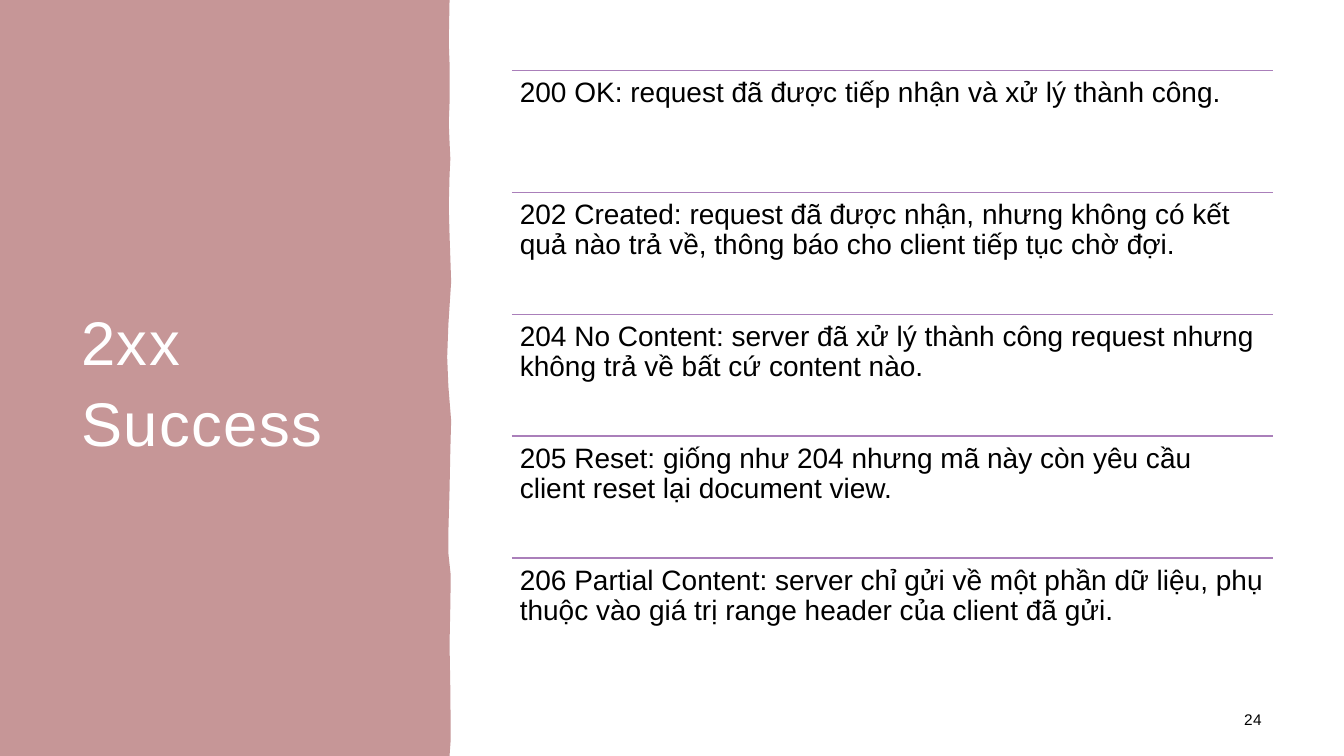
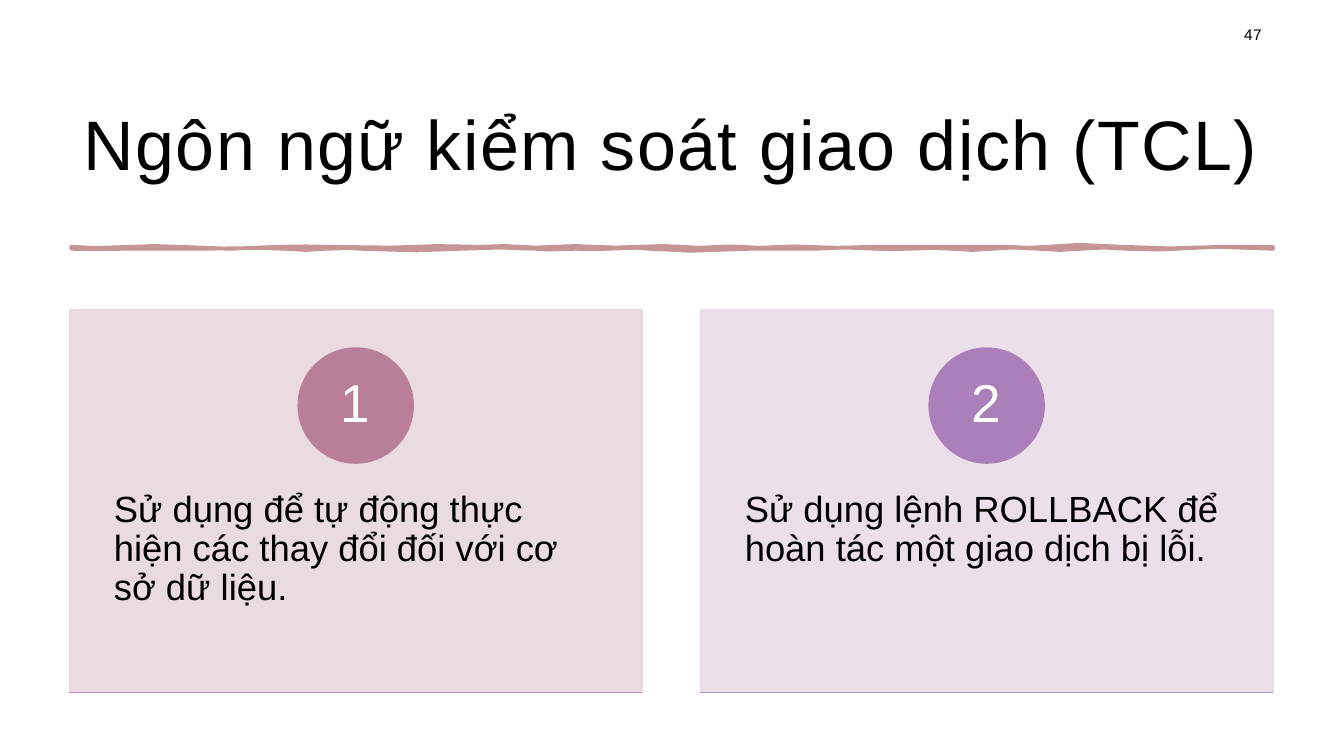
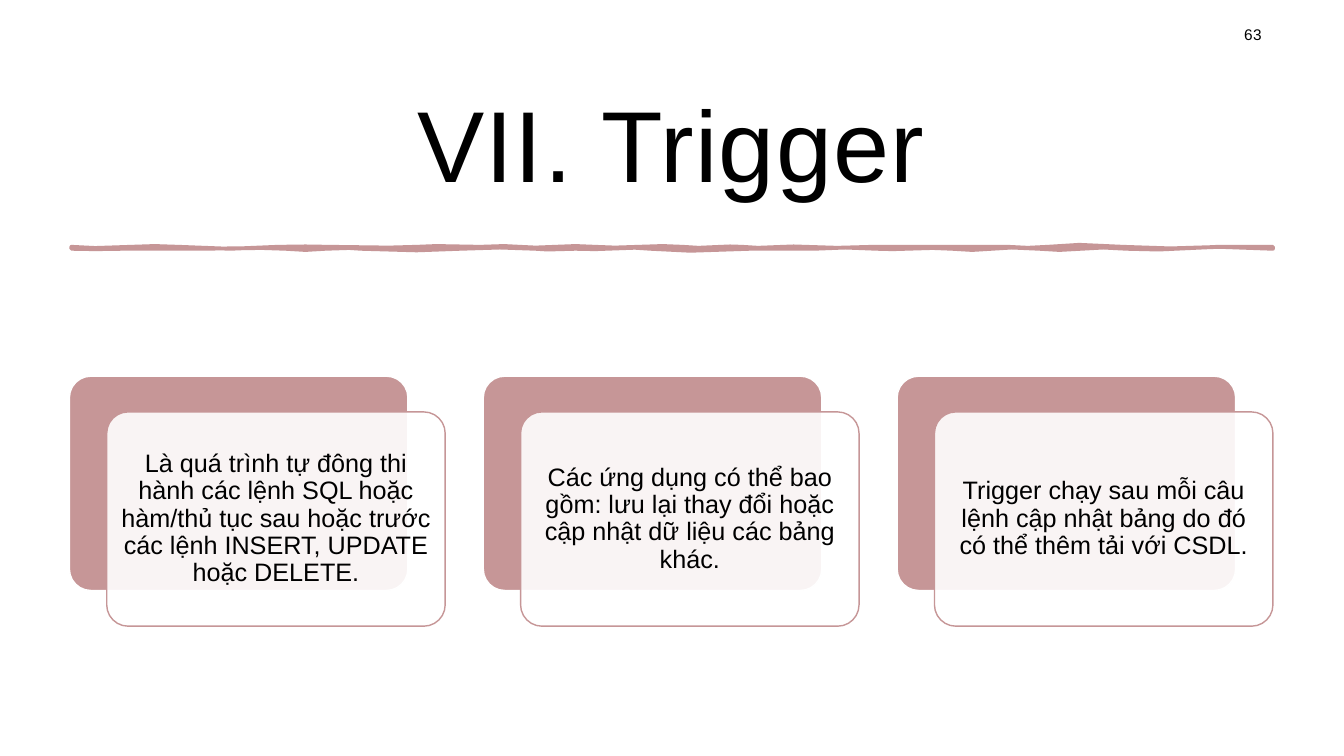
from pptx import Presentation
from pptx.dml.color import RGBColor
from pptx.enum.shapes import MSO_CONNECTOR, MSO_SHAPE
from pptx.enum.text import MSO_ANCHOR, MSO_AUTO_SIZE, PP_ALIGN
from pptx.oxml.ns import qn
from pptx.util import Cm, Pt
from lxml.etree import SubElement

FONT = "Arial"
BLACK = RGBColor(0x00, 0x00, 0x00)
WHITE = RGBColor(0xFF, 0xFF, 0xFF)
ROSE = RGBColor(0xC6, 0x96, 0x97)
MAUVE = RGBColor(0xBA, 0x7F, 0x98)
PURPLE = RGBColor(0xAA, 0x7F, 0xBA)
PINK = RGBColor(0xE7, 0xD8, 0xDD)
LILAC = RGBColor(0xEA, 0xDC, 0xE8)
ORCHID = RGBColor(0xC4, 0x93, 0xBD)
VIOLET = RGBColor(0xA6, 0x96, 0xC6)

CODES = [
    "200 OK: request đã được tiếp nhận và xử lý thành công.",
    "202 Created: request đã được nhận, nhưng không có kết quả nào trả về, "
    "thông báo cho client tiếp tục chờ đợi.",
    "204 No Content: server đã xử lý thành công request nhưng không trả về "
    "bất cứ content nào.",
    "205 Reset: giống như 204 nhưng mã này còn yêu cầu client reset lại "
    "document view.",
    "206 Partial Content: server chỉ gửi về một phần dữ liệu, phụ thuộc vào "
    "giá trị range header của client đã gửi.",
]
# text, card fill, disc fill, base line
STEPS = [
    ("Sử dụng để tự động thực hiện các thay đổi đối với cơ sở dữ liệu.",
     PINK, MAUVE, ORCHID),
    ("Sử dụng lệnh ROLLBACK để hoàn tác một giao dịch bị lỗi.",
     LILAC, PURPLE, VIOLET),
]
FACTS = [
    "Là quá trình tự đông thi hành các lệnh SQL hoặc hàm/thủ tục sau hoặc "
    "trước các lệnh INSERT, UPDATE hoặc DELETE.",
    "Các ứng dụng có thể bao gồm: lưu lại thay đổi hoặc cập nhật dữ liệu "
    "các bảng khác.",
    "Trigger chạy sau mỗi câu lệnh cập nhật bảng do đó có thể thêm tải với "
    "CSDL.",
]

# Page frame, in cm
WIDTH, HEIGHT = 33.87, 19.05
LEFT, SPAN = 1.75, 30.33

# Ragged right edge of the side band: (x, y) in cm
EDGE = [
    (11.33, 0), (11.31, 1.07), (11.33, 1.6), (11.33, 2.59), (11.31, 3.1),
    (11.33, 3.58), (11.35, 4), (11.33, 4.42), (11.31, 5.2), (11.33, 5.92),
    (11.37, 7.1), (11.3, 8.18), (11.27, 9), (11.3, 9.73), (11.37, 10.6),
    (11.35, 11.33), (11.33, 12.34), (11.3, 13.41), (11.3, 13.94),
    (11.36, 14.5), (11.35, 15.24), (11.33, 16.23), (11.35, 17.4),
    (11.36, 18.62), (11.33, HEIGHT),
]
# Brush stroke under the title: (x in cm, sway in mm)
UPPER = [
    (1.8, 0), (2.4, 0.3), (3.9, -0.2), (4.5, 0), (5.8, 0.5), (7, 0),
    (7.7, -0.1), (8.3, 0), (9.8, 0.2), (10.5, 0), (11, -0.2), (12.1, 0),
    (12.7, -0.2), (13.1, 0), (13.5, 0.2), (14.5, -0.2), (15, 0),
    (15.5, 0.2), (16.7, -0.2), (17.2, 0), (17.6, 0.25), (18.4, -0.1),
    (18.7, 0), (19.1, 0.25), (20, -0.1), (20.3, 0), (21.1, 0.25), (22, 0),
    (23.5, 0), (25.4, 0), (25.9, 0.25), (26.4, 0), (27.2, -0.5), (28.3, 0),
    (29.5, 0.4), (30.8, 0), (32.08, 0),
]
LOWER = [
    (1.8, 0), (2.4, 0.1), (3.1, 0), (5, 0), (6.6, -0.2), (7.2, 0),
    (7.7, 0.3), (8.2, 0), (8.8, -0.2), (9.1, 0), (10.5, 0.4), (11.6, 0),
    (12.6, -0.3), (13.5, 0), (13.8, 0.2), (14.5, 0), (15, 0.1),
    (16, -0.25), (16.4, 0), (17.4, 0.5), (18.9, 0), (20.5, 0),
    (21.3, -0.3), (22.1, 0), (22.5, 0.1), (23.5, -0.2), (24, 0),
    (24.5, 0.3), (25.5, -0.3), (26.2, 0), (26.7, 0.3), (27.8, -0.3),
    (28.4, 0), (29.2, 0.2), (30.7, -0.5), (32.08, 0),
]


def write(shape, text, size, color=BLACK, align=PP_ALIGN.LEFT,
          anchor=MSO_ANCHOR.MIDDLE, pad=(0.3, 0.3), lead=0.9, track=0):
    """Fill a shape with one paragraph; pad is (side, top and bottom) in cm."""
    frame = shape.text_frame
    frame.text = text
    frame.word_wrap = True
    frame.auto_size = MSO_AUTO_SIZE.NONE
    frame.vertical_anchor = anchor
    frame.margin_left = frame.margin_right = Cm(pad[0])
    frame.margin_top = frame.margin_bottom = Cm(pad[1])
    para = frame.paragraphs[0]
    para.alignment = align
    para.line_spacing = lead
    para.font.name = FONT
    para.font.size = Pt(size)
    para.font.color.rgb = color
    if track:
        props = para._p.get_or_add_pPr().get_or_add_defRPr()
        props.set("spc", str(int(track * 100)))


def paint(shape, fill, line=None, weight=1):
    shape.shadow.inherit = False
    shape.fill.solid()
    shape.fill.fore_color.rgb = fill
    if line is None:
        shape.line.fill.background()
    else:
        shape.line.color.rgb = line
        shape.line.width = Pt(weight)


def fade(shape):
    """Make the fill 90 % opaque."""
    color = shape._element.spPr.find(qn("a:solidFill"))[0]
    SubElement(color, qn("a:alpha")).set("val", "90000")


def block(slide, kind, x, y, w, h, fill, line):
    shape = slide.shapes.add_shape(kind, Cm(x), Cm(y), Cm(w), Cm(h))
    paint(shape, fill, line)
    return shape


def box(slide, x, y, w, h):
    return slide.shapes.add_textbox(Cm(x), Cm(y), Cm(w), Cm(h))


def rule(slide, x, y, w, color):
    line = slide.shapes.add_connector(
        MSO_CONNECTOR.STRAIGHT, Cm(x), Cm(y), Cm(x + w), Cm(y))
    line.line.color.rgb = color
    line.line.width = Pt(1)
    SubElement(line._element.spPr, qn("a:effectLst"))


def outline(slide, points, line=None, weight=1):
    first, *rest = [(Cm(x), Cm(y)) for x, y in points]
    form = slide.shapes.build_freeform(*first)
    form.add_line_segments(rest)
    paint(form.convert_to_shape(), ROSE, line, weight)


def brush(slide):
    top = [(x, 6.22 + sway / 10) for x, sway in UPPER]
    low = [(x, 6.27 + sway / 10) for x, sway in LOWER]
    outline(slide, top + low[::-1], ROSE, 2.75)


def start(deck, title, size, number, side=False):
    """Add a slide with its title, number and rose decoration."""
    slide = deck.slides.add_slide(deck.slide_layouts[5])
    if side:
        outline(slide, [(0, 0), *EDGE, (0, HEIGHT)])
    else:
        brush(slide)
    head = slide.shapes.title
    head.left, head.top = Cm(LEFT), Cm(1.75)
    head.width = Cm(8.6 if side else SPAN)
    head.height = Cm(15.55 if side else 3.66)
    write(head, title, size, WHITE if side else BLACK,
          PP_ALIGN.LEFT if side else PP_ALIGN.CENTER,
          lead=1.1 if side else 1, track=1)
    # The title stays in front of the band
    slide.shapes._spTree.append(head._element)
    tag = box(slide, 27.02, 17.65 if side else 0.38, 5.08, 1.02)
    write(tag, number, 11, align=PP_ALIGN.RIGHT, track=0.4)
    return slide


def codes(deck):
    slide = start(deck, "2xx Success", 44, "24", side=True)
    x, y, w, step = 12.9, 1.78, 19.18, 3.07
    for i, text in enumerate(CODES):
        top = y + i * step
        rule(slide, x, top, w, PURPLE)
        write(box(slide, x, top, w, step), text, 20,
              anchor=MSO_ANCHOR.TOP, pad=(0.2, 0.2))


def steps(deck):
    slide = start(deck, "Ngôn ngữ kiểm soát giao dịch (TCL)", 50, "47")
    y, w, h, disc = 7.8, 14.43, 9.65, 2.9
    pitch = SPAN - w
    for i, (text, fill, dot, base) in enumerate(STEPS):
        x = LEFT + i * pitch
        card = block(slide, MSO_SHAPE.RECTANGLE, x, y, w, h, fill, fill)
        fade(card)
        write(card, text, 26, anchor=MSO_ANCHOR.TOP, pad=(1.12, 4.57))
        card.text_frame.margin_bottom = Cm(1)
        badge = block(slide, MSO_SHAPE.OVAL, x + (w - disc) / 2, y + 0.97,
                      disc, disc, dot, dot)
        write(badge, str(i + 1), 38, WHITE, PP_ALIGN.CENTER, pad=(0, 0))
        rule(slide, x, y + h, w, base)


def facts(deck):
    slide = start(deck, "VII. Trigger", 72, "63")
    y, w, h, right, down = 9.48, 8.53, 5.4, 0.94, 0.9
    pitch = (SPAN - w - right) / (len(FACTS) - 1)
    kind = MSO_SHAPE.ROUNDED_RECTANGLE
    for i, text in enumerate(FACTS):
        x = LEFT + i * pitch
        back = block(slide, kind, x, y, w, h, ROSE, WHITE)
        card = block(slide, kind, x + right, y + down, w, h, WHITE, ROSE)
        back.adjustments[0] = card.adjustments[0] = 0.1
        fade(card)
        write(card, text, 18, align=PP_ALIGN.CENTER, pad=(0.18, 0.18))


def main():
    deck = Presentation()
    deck.slide_width, deck.slide_height = Cm(WIDTH), Cm(HEIGHT)
    codes(deck)
    steps(deck)
    facts(deck)
    deck.save("out.pptx")


if __name__ == "__main__":
    main()
